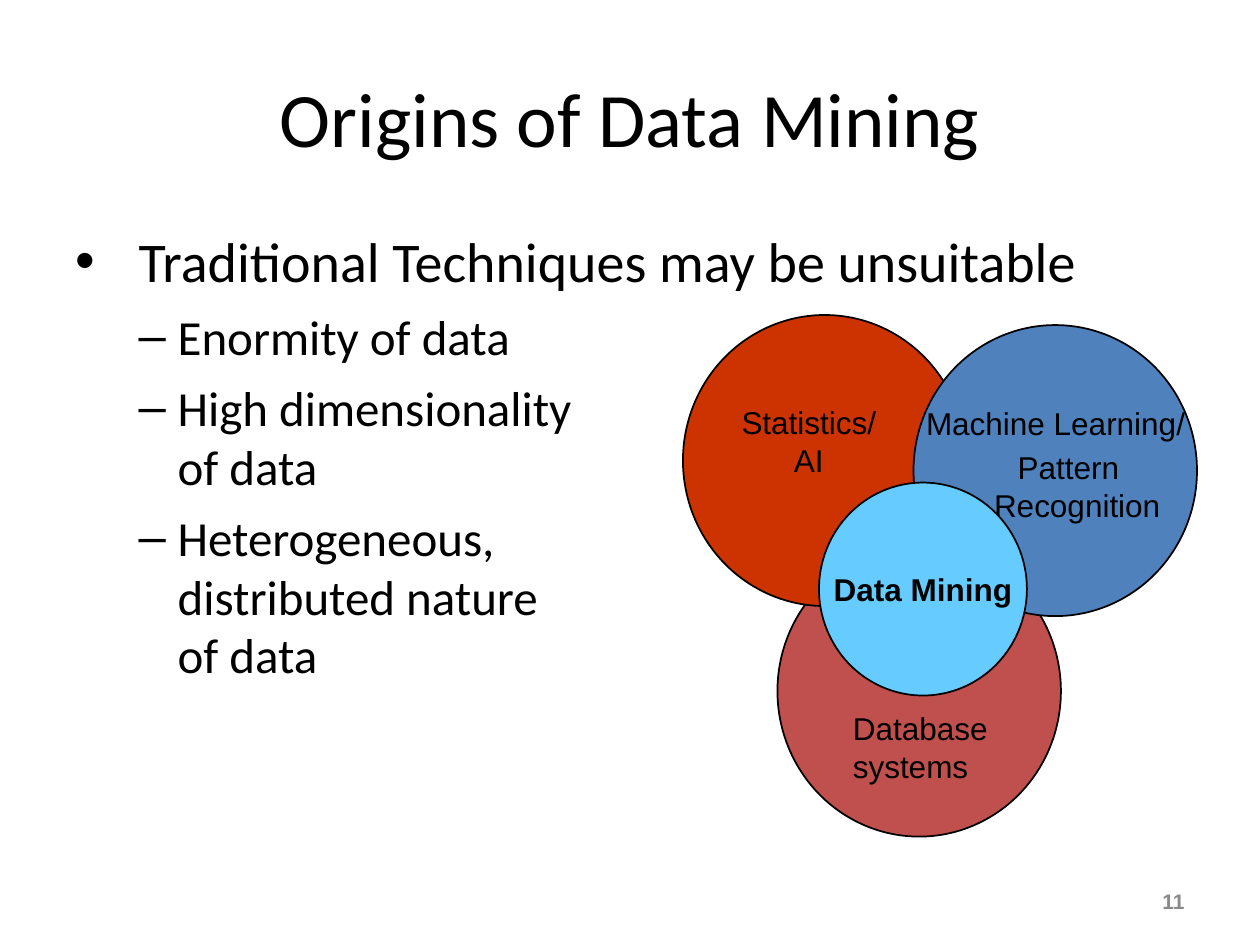
from pptx import Presentation, util as u
from pptx.dml.color import RGBColor
from pptx.enum import shapes, text

BLACK = "000000"
LEFT, CENTER, RIGHT = text.PP_ALIGN.LEFT, text.PP_ALIGN.CENTER, text.PP_ALIGN.RIGHT
MIDDLE, TOP = text.MSO_ANCHOR.MIDDLE, text.MSO_ANCHOR.TOP


def rgb(value):
    return RGBColor.from_string(value)


class Deck:
    """Holds the style and the current slide, and draws each kind of element."""

    heading = {"name": "Calibri", "size": u.Pt(44)}
    bullet = {"name": "Calibri", "size": u.Pt(32)}
    sub_bullet = {"name": "Calibri", "size": u.Pt(28)}
    label_font = {"name": "Arial", "size": u.Pt(18)}
    strong = {**label_font, "bold": True}
    number_font = {"name": "Arial", "size": u.Pt(12), "bold": True}

    def __init__(self, prs):
        self.s = prs.slides.add_slide(prs.slide_layouts[1])

    def place(self, sp, box):
        for name, value in zip(("left", "top", "width", "height"), box):
            setattr(sp, name, u.Inches(value))

    def set_text(self, p, words, style, color=BLACK, **layout):
        p.text = words
        for name, value in layout.items():
            setattr(p, name, value)
        for r in p.runs:
            for name, value in style.items():
                setattr(r.font, name, value)
            r.font.color.rgb = rgb(color)

    def title(self, words, box):
        sp = self.s.shapes.title
        self.place(sp, box)
        tf = sp.text_frame
        tf.margin_left = tf.margin_right = 0
        tf.vertical_anchor = MIDDLE
        self.set_text(tf.paragraphs[0], words, self.heading, alignment=CENTER)

    def bullets(self, items, box):
        sp = self.s.placeholders[1]
        self.place(sp, box)
        tf = sp.text_frame
        tf.auto_size = text.MSO_AUTO_SIZE.NONE
        for i, (level, words) in enumerate(items):
            p = tf.add_paragraph() if i else tf.paragraphs[0]
            style = self.sub_bullet if level else self.bullet
            self.set_text(p, words, style, level=level, space_before=u.Pt(7 if i else 0))
            margin, hang = (0.81, 0.31) if level else (0.5, 0.5)
            pPr = p._p.get_or_add_pPr()
            pPr.set("marL", str(u.Inches(margin)))
            pPr.set("indent", str(-u.Inches(hang)))

    def circle(self, box, fill, words=None):
        sp = self.s.shapes.add_shape(shapes.MSO_SHAPE.OVAL, *map(u.Inches, box))
        sp.shadow.inherit = False
        sp.fill.solid()
        sp.fill.fore_color.rgb = rgb(fill)
        sp.line.color.rgb = rgb(BLACK)
        sp.line.width = u.Pt(1)
        if words:
            tf = sp.text_frame
            tf.word_wrap = False
            tf.vertical_anchor = MIDDLE
            self.set_text(tf.paragraphs[0], words, self.strong, alignment=CENTER)

    def label(self, lines, box, style=label_font, color=BLACK, margin=0.1, anchor=TOP):
        tf = self.s.shapes.add_textbox(*map(u.Inches, box)).text_frame
        tf.word_wrap = True
        tf.vertical_anchor = anchor
        tf.margin_left = tf.margin_right = u.Inches(margin)
        for i, (words, align) in enumerate(lines):
            p = tf.add_paragraph() if i else tf.paragraphs[0]
            self.set_text(p, words, style, color, alignment=align,
                          space_before=u.Pt(3.4 if i else 0))


def main():
    prs = Presentation()
    prs.slide_width, prs.slide_height = u.Inches(10), u.Inches(7.5)
    deck = Deck(prs)

    deck.title("Origins of Data Mining", (0.5, 0.3, 9, 1.25))
    deck.bullets([
        (0, "Traditional Techniques may be unsuitable"),
        (1, "Enormity of data"),
        (1, "High dimensionality\nof data"),
        (1, "Heterogeneous,\ndistributed nature\nof data"),
    ], (0.5, 1.75, 9, 4.95))

    for left, top, fill in [(6.17, 4.33, "C0504D"), (5.42, 2.5, "CC3300"),
                            (7.25, 2.58, "4F81BD")]:
        deck.circle((left, top, 2.25, 2.31), fill)
    deck.label([("Machine Learning/", LEFT), ("Pattern \n Recognition", CENTER)],
               (7.35, 3.16, 2.33, 1.05), margin=0)
    deck.label([("Statistics/\nAI", CENTER)], (5.67, 3.15, 1.5, 0.7))
    deck.circle((6.5, 3.83, 1.65, 1.69), "66CCFF", "Data Mining")
    deck.label([("Database systems", LEFT)], (6.67, 5.58, 1.58, 0.7))
    deck.label([("11", RIGHT)], (7.17, 6.95, 2.33, 0.4),
               deck.number_font, "898989", anchor=MIDDLE)

    prs.save("out.pptx")


if __name__ == "__main__":
    main()
